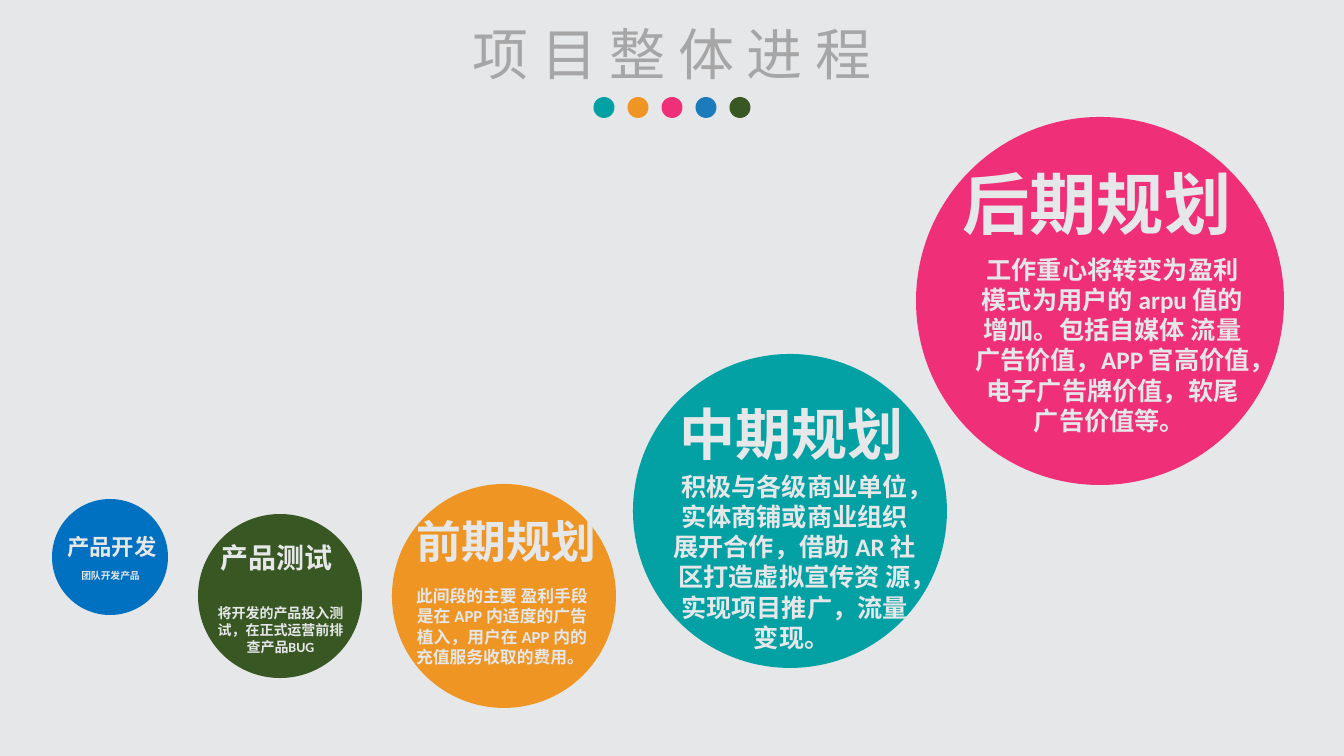
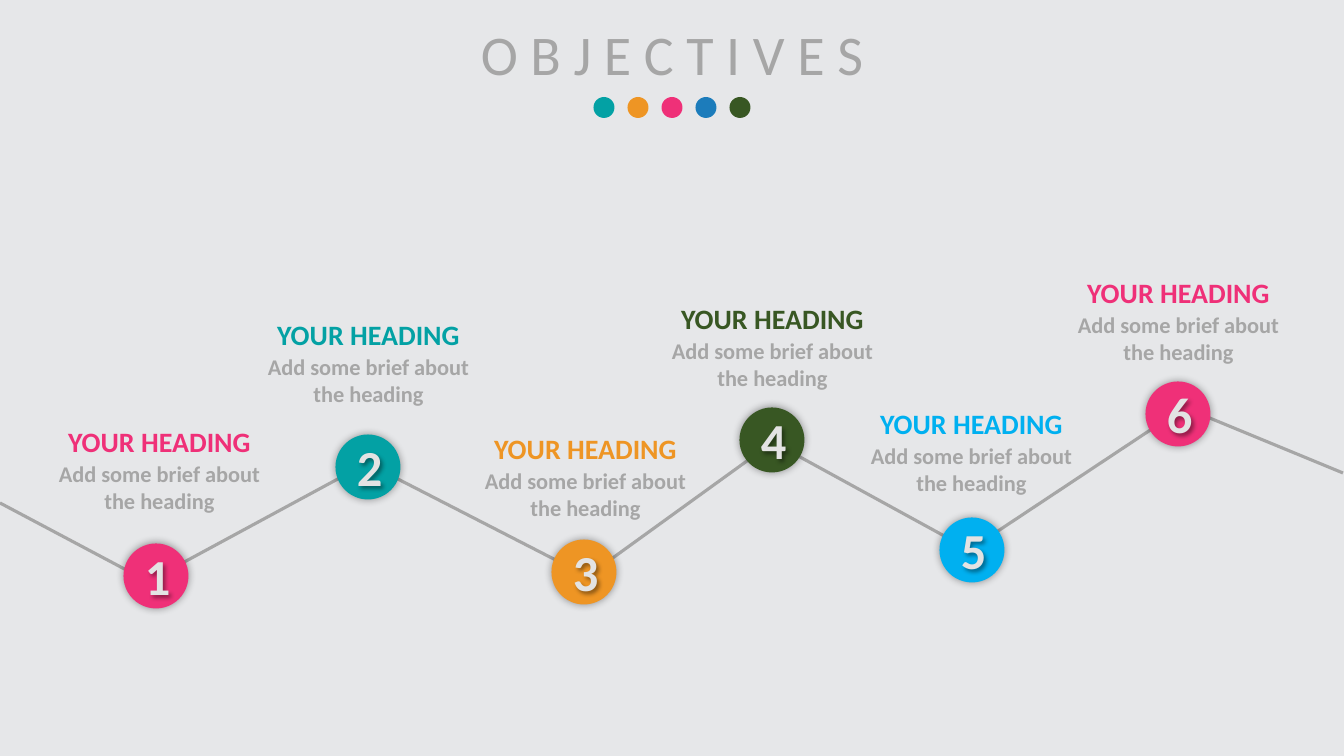
"""Build two slides: project phases as growing circles and a six-step objectives path."""
from dataclasses import dataclass

from lxml import etree
from pptx import Presentation
from pptx import util as u
from pptx.dml.color import RGBColor
from pptx.enum import shapes, text
from pptx.oxml.ns import qn


@dataclass(frozen=True)
class Theme:
    font: str = "Calibri"
    back: str = "E6E7E9"
    grey: str = "A6A6A6"
    digit: str = "E3E3E3"
    teal: str = "03A1A4"
    orange: str = "EE9524"
    pink: str = "EF3078"
    blue: str = "1C7CBB"
    green: str = "385723"
    deep_blue: str = "0070C0"
    sky: str = "00B0F0"
    title_pt: int = 40
    number_pt: int = 36
    heading_pt: int = 20
    brief_pt: int = 16
    line_pt: float = 2.25


T = Theme()
EMU_PER_PX = 914400 / 100.8
SLIDE_W, SLIDE_H = 1344, 756
TITLE_BOX = (271, 14, 802, 78)
DOTS = (T.teal, T.orange, T.pink, T.blue, T.green)
DOT_TOP, DOT_SIZE, DOT_PITCH = 97, 21, 34
NODE_SIZE = 65
SOFT_SHADOW = dict(blur=6, dist=0)
DIGIT_SHADOW = dict(blur=3, dist=2)

PHASES_TITLE = "项 目 整 体 进 程"
PHASES = [
    dict(fill=T.pink, circle=(916, 117, 368),
         name="后期规划", name_box=(948, 157, 298, 92), name_pt=48,
         note="工作重心将转变为盈利模式为用户的 arpu 值的增加。包括自媒体 流量广告价值，"
              "APP 官高价值，电子广告牌价值，软尾广告价值等。 ",
         note_box=(964, 249, 297, 194), note_pt=18),
    dict(fill=T.teal, circle=(633, 354, 314),
         name="中期规划", name_box=(656, 395, 271, 78), name_pt=40,
         note="积极与各级商业单位，实体商铺或商业组织展开合作，借助 AR 社区打造虚拟宣传资 源，"
              "实现项目推广，流量变现。 ",
         note_box=(659, 466, 271, 194), note_pt=18),
    dict(fill=T.orange, circle=(392, 484, 224),
         name="前期规划", name_box=(371, 509, 271, 65), name_pt=32,
         note="此间段的主要 盈利手段是在 APP 内适度的广告植入，用户在 APP 内的充值服务收取的费用。 ",
         note_box=(401, 581, 202, 92), note_pt=12),
    dict(fill=T.green, circle=(198, 514, 164),
         name="产品测试", name_box=(141, 536, 271, 44), name_pt=20,
         note="将开发的产品投入测试，在正式运营前排查产品BUG",
         note_box=(203, 600, 155, 61), note_pt=10),
    dict(fill=T.deep_blue, circle=(52, 499, 116),
         name="产品开发", name_box=(56, 528, 112, 37), name_pt=16,
         note="团队开发产品", note_box=(51, 565, 119, 22), note_pt=7),
]

STEPS_TITLE = "O B J E C T I V E S"
HEADING, BRIEF = "YOUR HEADING", "Add some brief about the heading"
STEPS = [  # fill, node centre, heading centre x and top
    (T.pink, (156, 576), (159, 420)),
    (T.teal, (368, 467), (368, 313)),
    (T.orange, (584, 572), (585, 427)),
    (T.green, (772, 440), (772, 297)),
    (T.sky, (972, 550), (971, 402)),
    (T.pink, (1178, 414), (1178, 271)),
]
LINKS = [
    ((0, 503), (149, 582)),
    ((164, 573), (360, 467)),
    ((392, 476), (581, 573)),
    ((592, 573), (765, 448)),
    ((769, 440), (968, 549)),
    ((986, 539), (1170, 417)),
    ((1200, 414), (1343, 473)),
]


def px(*values):
    return [u.Emu(round(v * EMU_PER_PX)) for v in values]


def rgb(value):
    return RGBColor.from_string(value)


def set_effect(sp, blur=0, dist=0):
    sp_pr = sp.element.spPr
    for old in sp_pr.findall(qn("a:effectLst")):
        sp_pr.remove(old)
    effects = etree.SubElement(sp_pr, qn("a:effectLst"))
    if blur:
        shadow = etree.SubElement(effects, qn("a:outerShdw"), blurRad=str(u.Pt(blur)),
                                  dist=str(u.Pt(dist)), dir="2700000",
                                  algn="ctr", rotWithShape="0")
        color = etree.SubElement(shadow, qn("a:srgbClr"), val="000000")
        etree.SubElement(color, qn("a:alpha"), val="40000")


def write(sp, content, size, color, bold=False):
    tf = sp.text_frame
    tf.word_wrap = True
    tf.auto_size = text.MSO_AUTO_SIZE.SHAPE_TO_FIT_TEXT
    tf.vertical_anchor = text.MSO_ANCHOR.TOP
    p = tf.paragraphs[0]
    p.alignment = text.PP_ALIGN.CENTER
    r = p.add_run()
    r.text = content
    r.font.name, r.font.size, r.font.bold = T.font, u.Pt(size), bold
    r.font.color.rgb = rgb(color)


def add_text(slide, box, content, **fmt):
    sp = slide.shapes.add_textbox(*px(*box))
    write(sp, content, **fmt)
    return sp


def add_circle(slide, left, top, size, fill, **shadow):
    sp = slide.shapes.add_shape(shapes.MSO_SHAPE.OVAL, *px(left, top, size, size))
    sp.fill.solid()
    sp.fill.fore_color.rgb = rgb(fill)
    sp.line.fill.background()
    set_effect(sp, **shadow)


def add_link(slide, start, end):
    sp = slide.shapes.add_connector(shapes.MSO_CONNECTOR.STRAIGHT, *px(*start, *end))
    sp.line.color.rgb = rgb(T.grey)
    sp.line.width = u.Pt(T.line_pt)
    set_effect(sp)


def add_titled_slide(prs, title):
    slide = prs.slides.add_slide(prs.slide_layouts.get_by_name("Title Only"))
    sp = slide.shapes.title
    sp.left, sp.top, sp.width, sp.height = px(*TITLE_BOX)
    write(sp, title, size=T.title_pt, color=T.grey)
    first = SLIDE_W / 2 - DOT_SIZE / 2 - DOT_PITCH * (len(DOTS) - 1) / 2
    for i, fill in enumerate(DOTS):
        add_circle(slide, first + i * DOT_PITCH, DOT_TOP, DOT_SIZE, fill)
    return slide


def build_phases(prs):
    slide = add_titled_slide(prs, PHASES_TITLE)
    for phase in PHASES:
        add_circle(slide, *phase["circle"], phase["fill"])
        for part in ("name", "note"):
            add_text(slide, phase[part + "_box"], phase[part],
                     size=phase[part + "_pt"], color=T.back, bold=True)


def build_steps(prs):
    slide = add_titled_slide(prs, STEPS_TITLE)
    for start, end in LINKS:
        add_link(slide, start, end)
    for number, (fill, (x, y), (mid, top)) in enumerate(STEPS, 1):
        left, node_top = x - NODE_SIZE / 2, y - NODE_SIZE / 2
        add_circle(slide, left, node_top, NODE_SIZE, fill, **SOFT_SHADOW)
        digit = add_text(slide, (x - 21, node_top - 3, 42, 71), str(number),
                         size=T.number_pt, color=T.digit, bold=True)
        set_effect(digit, **DIGIT_SHADOW)
        add_text(slide, (mid - 117, top, 235, 44), HEADING,
                 size=T.heading_pt, color=fill, bold=True)
        add_text(slide, (mid - 117, top + 35, 235, 64), BRIEF,
                 size=T.brief_pt, color=T.grey, bold=True)


def main():
    prs = Presentation()
    prs.slide_width, prs.slide_height = px(SLIDE_W, SLIDE_H)
    back = prs.slide_master.background.fill
    back.solid()
    back.fore_color.rgb = rgb(T.back)
    build_phases(prs)
    build_steps(prs)
    prs.save("out.pptx")


if __name__ == "__main__":
    main()
